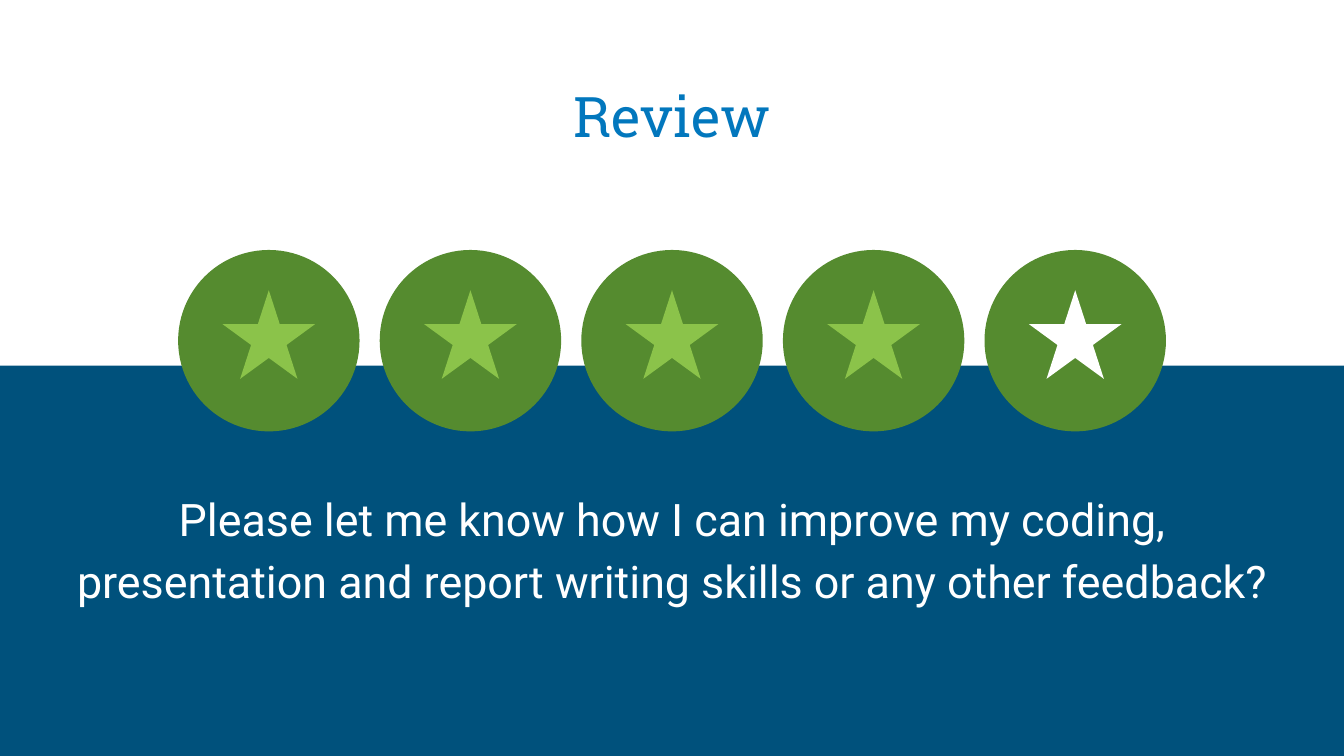
"""Build a review slide with a five-star rating row and a request for feedback."""
from pptx import Presentation
from pptx import util as u
from pptx.dml.color import RGBColor
from pptx.enum import shapes, text


def add_filled(container, kind, left, top, width, height, colour):
    shape = container.shapes.add_shape(
        kind, u.Inches(left), u.Inches(top), u.Inches(width), u.Inches(height))
    shape.shadow.inherit = False
    shape.fill.solid()
    shape.fill.fore_color.rgb = RGBColor.from_string(colour)
    shape.line.fill.background()
    return shape


def write(shape, words, font, size, colour, anchor):
    frame = shape.text_frame
    frame.text = words
    frame.word_wrap = True
    frame.auto_size = text.MSO_AUTO_SIZE.NONE
    frame.vertical_anchor = anchor
    frame.margin_left = frame.margin_right = u.Inches(0.1)
    frame.margin_top = frame.margin_bottom = u.Inches(0.1)
    paragraph = frame.paragraphs[0]
    paragraph.alignment = text.PP_ALIGN.CENTER
    run = paragraph.runs[0]
    run.font.name = font
    run.font.size = u.Pt(size)
    run.font.color.rgb = RGBColor.from_string(colour)
    return paragraph


WIDTH = 10
HEIGHT = WIDTH * 9 / 16
MARGIN = 0.34
PITCH, DISC = 1.5, 1.35
STAR_WIDTH, STAR_HEIGHT = 0.69, 0.66
STAR_COLOURS = ["8BC34A"] * 4 + ["FFFFFF"]

presentation = Presentation()
presentation.slide_width = u.Inches(WIDTH)
presentation.slide_height = u.Inches(HEIGHT)
slide = presentation.slides.add_slide(presentation.slide_layouts[5])
slide.background.fill.solid()
slide.background.fill.fore_color.rgb = RGBColor.from_string("00517C")

title = slide.shapes.title
title.left, title.top = u.Inches(MARGIN), u.Inches(0.41)
title.width, title.height = u.Inches(WIDTH - 2 * MARGIN), u.Inches(0.8)
write(title, "Review", "Roboto Slab", 30, "0277BD", text.MSO_ANCHOR.BOTTOM)

upper_band = add_filled(slide, shapes.MSO_SHAPE.RECTANGLE, 0, 0, 10.02, 2.72, "FFFFFF")
title._element.addprevious(upper_band._element)

first_centre = WIDTH / 2 - PITCH * (len(STAR_COLOURS) - 1) / 2
for column, colour in enumerate(STAR_COLOURS):
    centre = first_centre + column * PITCH
    badge = slide.shapes.add_group_shape()
    add_filled(badge, shapes.MSO_SHAPE.OVAL, centre - DISC / 2, 1.86, DISC, DISC, "558B2F")
    add_filled(badge, shapes.MSO_SHAPE.STAR_5_POINT, centre - STAR_WIDTH / 2, 2.16,
               STAR_WIDTH, STAR_HEIGHT, colour)

request = slide.shapes.add_textbox(
    u.Inches(MARGIN), u.Inches(3.5), u.Inches(WIDTH - 2 * MARGIN), u.Inches(1.76))
paragraph = write(
    request,
    "Please let me know how I can improve my coding, presentation and report "
    "writing skills or any other feedback?",
    "Roboto", 24, "FFFFFF", text.MSO_ANCHOR.TOP)
paragraph.line_spacing = 1.15
paragraph.space_after = u.Pt(16)

presentation.save("out.pptx")
